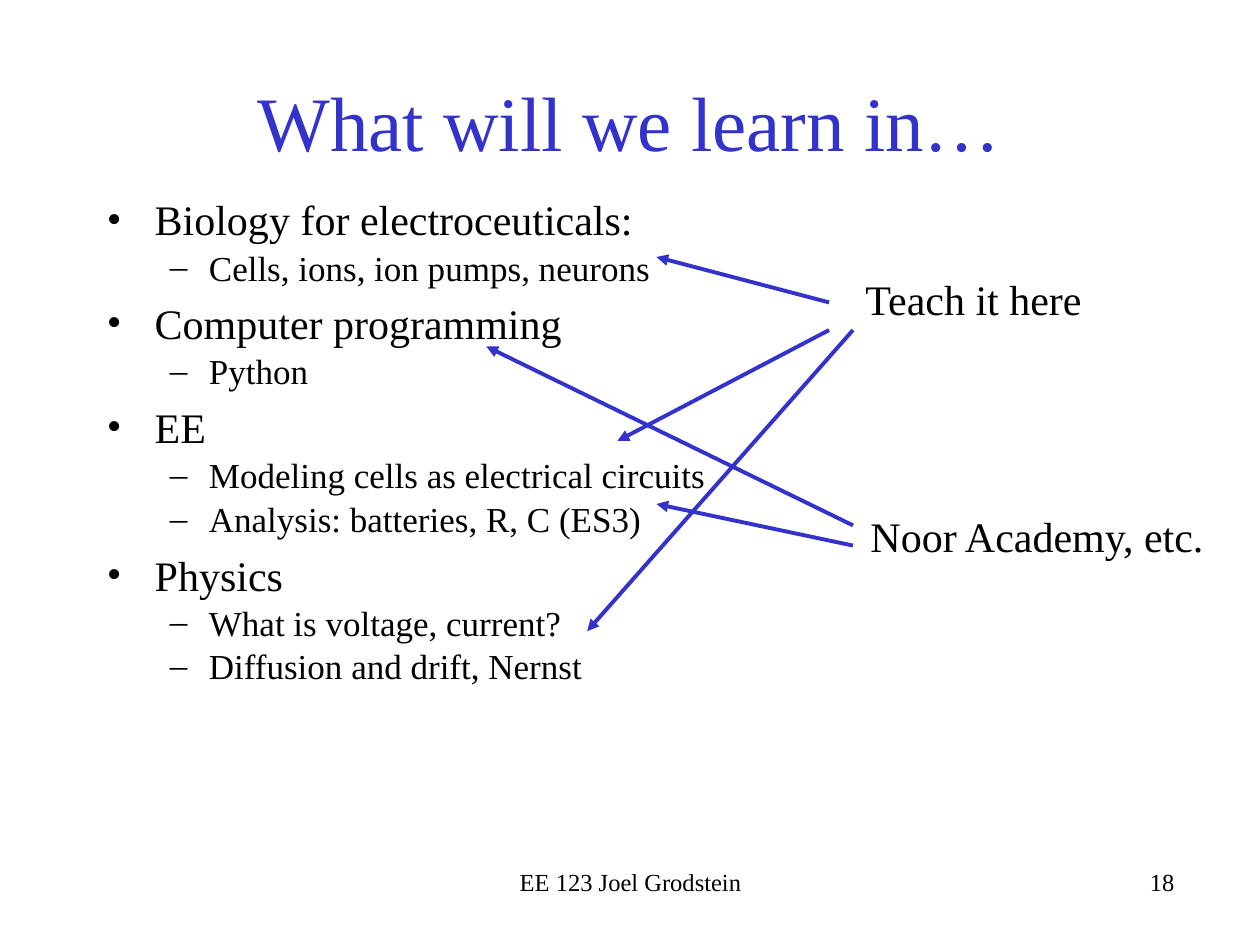
import pptx
import pptx.util
import pptx.dml.color
import pptx.enum.text
import pptx.enum.shapes
import pptx.oxml.ns
from dataclasses import dataclass
from lxml import etree

Inches = pptx.util.Inches
Pt = pptx.util.Pt
Align = pptx.enum.text.PP_ALIGN
Anchor = pptx.enum.text.MSO_ANCHOR
qn = pptx.oxml.ns.qn


@dataclass
class Theme:
    font: str = "Times New Roman"
    ink: str = "000000"
    blue: str = "3333CC"
    head: int = 44
    main: int = 24
    sub: int = 20
    foot: int = 14
    line: float = 2.25


class Deck:
    """Holds the theme and the current slide, and draws its elements."""

    def __init__(self, show, theme):
        self.theme = theme
        self.slide = show.slides.add_slide(show.slide_layouts[5])

    def color(self, code):
        return pptx.dml.color.RGBColor.from_string(code)

    def run(self, para, text, size, code):
        run = para.add_run()
        run.text = text
        run.font.name = self.theme.font
        run.font.size = Pt(size)
        run.font.color.rgb = self.color(code)

    def place(self, shape, box):
        shape.left, shape.top, shape.width, shape.height = map(Inches, box)

    def title(self, text, box):
        shape = self.slide.shapes.title
        self.place(shape, box)
        shape.text_frame.vertical_anchor = Anchor.MIDDLE
        para = shape.text_frame.paragraphs[0]
        para.alignment = Align.CENTER
        self.run(para, text, self.theme.head, self.theme.blue)

    def frame(self, box):
        shape = self.slide.shapes.add_textbox(*map(Inches, box))
        shape.text_frame.word_wrap = True
        return shape.text_frame

    def label(self, text, box, size, align=Align.LEFT):
        para = self.frame(box).paragraphs[0]
        para.alignment = align
        self.run(para, text, size, self.theme.ink)

    def bullet(self, para, text, level):
        size, mark, left, hang, gap = (
            (self.theme.main, "•", 0.38, 0.38, 5.5),
            (self.theme.sub, "–", 0.81, 0.31, 1),
        )[level]
        para.level = level
        para.space_before = Pt(gap)
        props = para._p.get_or_add_pPr()
        props.set("marL", str(Inches(left)))
        props.set("indent", str(-Inches(hang)))
        etree.SubElement(props, qn("a:buFont"), typeface=self.theme.font)
        etree.SubElement(props, qn("a:buChar"), char=mark)
        self.run(para, text, size, self.theme.ink)

    def outline(self, topics, box):
        frame = self.frame(box)
        rows = [(text, level) for head, subs in topics
                for text, level in [(head, 0)] + [(sub, 1) for sub in subs]]
        for i, (text, level) in enumerate(rows):
            para = frame.add_paragraph() if i else frame.paragraphs[0]
            self.bullet(para, text, level)

    def arrow(self, start, end):
        line = self.slide.shapes.add_connector(
            pptx.enum.shapes.MSO_CONNECTOR.STRAIGHT, *map(Inches, start + end))
        line.line.color.rgb = self.color(self.theme.blue)
        line.line.width = Pt(self.theme.line)
        props = line._element.spPr
        etree.SubElement(props.find(qn("a:ln")), qn("a:tailEnd"), type="triangle")
        etree.SubElement(props, qn("a:effectLst"))


show = pptx.Presentation()
show.slide_width, show.slide_height = Inches(10), Inches(7.5)
theme = Theme()
deck = Deck(show, theme)

deck.title("What will we learn in…", (0.75, 0.33, 8.5, 1.25))
deck.outline([
    ("Biology for electroceuticals:", ["Cells, ions, ion pumps, neurons"]),
    ("Computer programming", ["Python"]),
    ("EE", ["Modeling cells as electrical circuits",
            "Analysis: batteries, R, C (ES3)"]),
    ("Physics", ["What is voltage, current?", "Diffusion and drift, Nernst"]),
], (0.75, 1.49, 7.23, 4.83))

deck.label("EE 123 Joel Grodstein", (3.42, 6.83, 3.17, 0.5), theme.foot, Align.CENTER)
deck.label("18", (6.25, 6.83, 3.17, 0.5), theme.foot, Align.RIGHT)
deck.label("Teach it here", (6.77, 2.12, 2.42, 0.5), theme.main)
deck.label("Noor Academy, etc.", (6.81, 4, 2.91, 0.5), theme.main)

for start, end in [
    ((6.58, 2.4), (5.21, 2.04)),
    ((6.77, 2.62), (4.66, 5.01)),
    ((6.77, 4.17), (3.86, 2.75)),
    ((6.77, 4.33), (5.21, 4)),
    ((6.58, 2.62), (4.9, 3.5)),
]:
    deck.arrow(start, end)

show.save("out.pptx")
